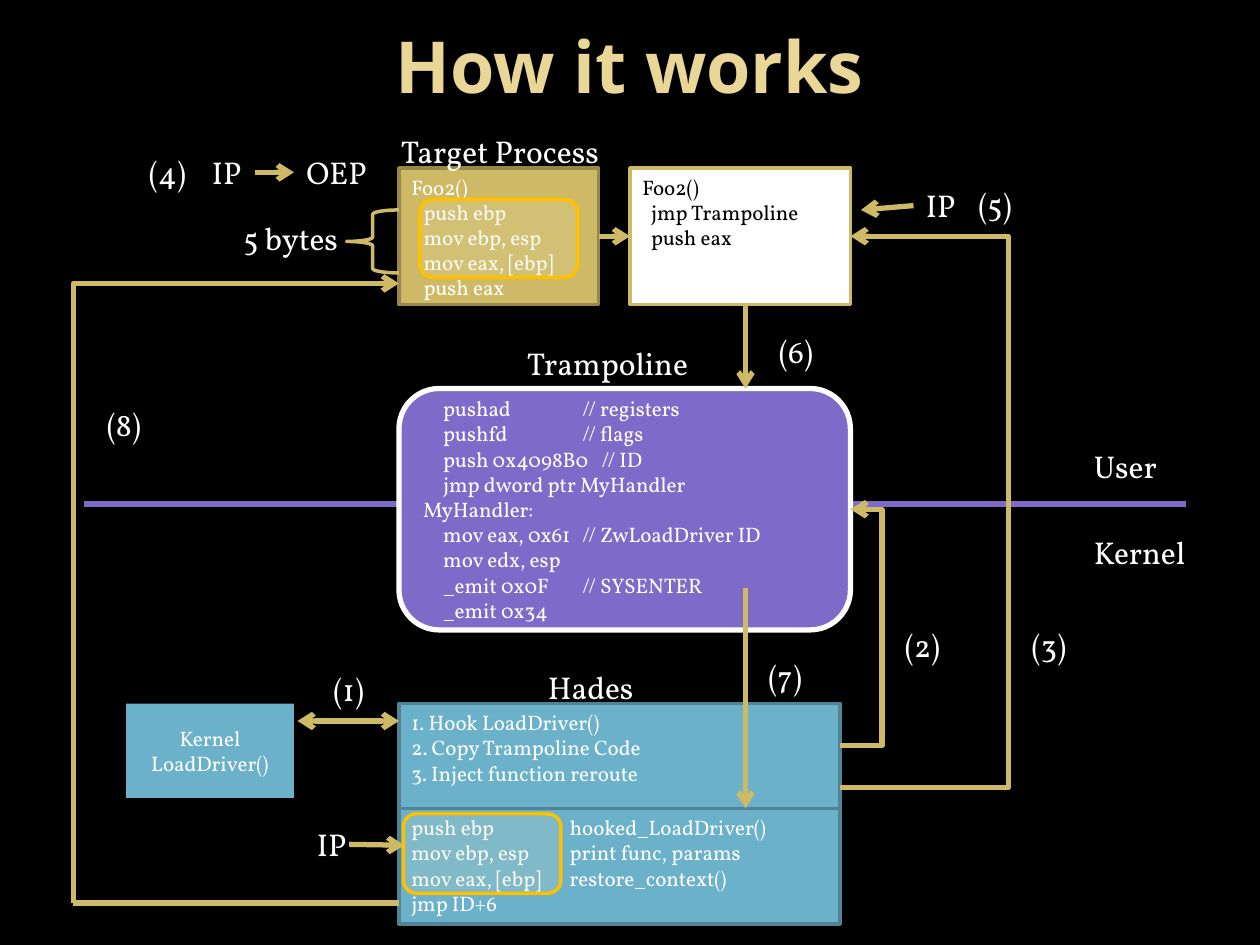
"""Build the "How it works" slide: a hooking flow between user and kernel space."""
import dataclasses

import lxml.etree
import pptx
import pptx.dml.color
import pptx.enum.shapes
import pptx.enum.text
import pptx.oxml.ns
import pptx.util

Pt = pptx.util.Pt
qn = pptx.oxml.ns.qn
SHAPES = pptx.enum.shapes.MSO_SHAPE
LINES = pptx.enum.shapes.MSO_CONNECTOR
ANCHOR = pptx.enum.text.MSO_ANCHOR
ALIGN = pptx.enum.text.PP_ALIGN


@dataclasses.dataclass(frozen=True)
class Theme:
    """Colours, fonts and sizes of the slide."""
    black: str = "000000"
    white: str = "FFFFFF"
    title: str = "EAD696"
    gold: str = "CEB966"
    dark_gold: str = "98894B"
    purple: str = "7E6BC9"
    blue: str = "6BB1C9"
    dark_blue: str = "4F8395"
    amber: str = "FFC000"
    cream: str = "EBE3C2"
    title_font: str = "Open Sans"
    body_font: str = "Vollkorn"
    title_size: int = 41
    label_size: int = 18
    code_size: int = 12
    thin: int = 2
    thick: int = 3


THEME = Theme()

TRAMPOLINE = [
    "\tpushad\t// registers", "\tpushfd\t// flags", "\tpush 0x4098B0\t// ID",
    "\tjmp dword ptr MyHandler", "MyHandler:", "\tmov eax, 0x61\t// ZwLoadDriver ID",
    "\tmov edx, esp", "\t_emit 0x0F\t// SYSENTER", "\t_emit 0x34",
]
TARGET = ["Foo2()", "\tpush ebp", "\tmov ebp, esp", "\tmov eax, [ebp]", "\tpush eax"]
PATCHED = ["Foo2()", "\tjmp Trampoline", "\tpush eax"]
HADES = ["1. Hook LoadDriver()", "2. Copy Trampoline Code", "3. Inject function reroute"]
HANDLER = [
    "push ebp\thooked_LoadDriver()", "mov ebp, esp\tprint func, params",
    "mov eax, [ebp]\trestore_context()", "jmp ID+6",
]
KERNEL = ["Kernel", "LoadDriver()"]

TOP, MIDDLE = ANCHOR.TOP, ANCHOR.MIDDLE
LEFT, CENTER = ALIGN.LEFT, ALIGN.CENTER
RECT, ROUND = SHAPES.RECTANGLE, SHAPES.ROUNDED_RECTANGLE

BOXES = [
    (ROUND, (228, 222, 258, 138), THEME.purple, THEME.white, THEME.thick,
     TRAMPOLINE, THEME.white, MIDDLE, LEFT, (11.5, 91, 102)),
    (RECT, (228, 402, 252, 60), THEME.blue, THEME.dark_blue, THEME.thin,
     HADES, THEME.white, TOP, LEFT, ()),
    (RECT, (228, 96, 114, 78), THEME.gold, THEME.dark_gold, THEME.thin,
     TARGET, THEME.white, TOP, LEFT, (7,)),
    (RECT, (360, 96, 126, 78), THEME.white, THEME.gold, THEME.thin,
     PATCHED, THEME.black, TOP, LEFT, (5,)),
    (RECT, (228, 462, 252, 66), THEME.blue, THEME.dark_blue, THEME.thin,
     HANDLER, THEME.white, TOP, LEFT, (90.5,)),
    (RECT, (72, 402, 96, 54), THEME.blue, None, 0,
     KERNEL, THEME.white, MIDDLE, CENTER, ()),
]
HIGHLIGHTS = [(240, 114, 90, 44.5), (230.5, 465, 90, 45.5)]
BRACE = (198, 120, 30, 36)

LABELS = [
    ("Trampoline", 294, 193, 109), ("Hades", 306, 378, 66),
    ("Target Process", 222, 72, 132), ("User", 618, 252, 53),
    ("Kernel", 618, 301, 68), ("5 bytes", 132, 121.5, 71),
    ("IP", 174, 468, 32), ("IP", 114, 84, 32), ("OEP", 168, 84, 51),
    ("IP", 522, 103, 32),
    ("(1)", 183.5, 379.5, 36), ("(2)", 510, 354, 36), ("(3)", 582.5, 354, 36),
    ("(4)", 78, 84, 36), ("(5)", 552, 102, 36), ("(6)", 438, 186, 36),
    ("(7)", 432, 372, 36), ("(8)", 54, 228, 36),
]
LABEL_HEIGHT = 29

DIVIDER = (48, 288, 678, 288)
ARROWS = [
    ((228, 412, 170, 412), ("headEnd", "tailEnd")),
    ((426, 174, 426, 222), ("tailEnd",)),
    ((342, 135, 360, 135), ("tailEnd",)),
    ((228, 516, 42, 516), ()),
    ((426, 336, 426, 462), ("tailEnd",)),
    ((199.5, 482.5, 231, 483), ("tailEnd",)),
    ((145.5, 98.5, 168, 98.5), ("tailEnd",)),
    ((522, 117.5, 492, 120), ("tailEnd",)),
]
BENDS = [
    ((480, 426, 486, 291), "bentConnector4", (0, 400000)),
    ((480, 450, 486, 135), "bentConnector4", (0, 1600000)),
    ((42, 516, 228, 162), "bentConnector3", (100000,)),
]


def rgb(code):
    return pptx.dml.color.RGBColor.from_string(code)


def write(frame, lines, font, size, colour, align=LEFT, stops=(), bold=False):
    frame.text = "\n".join(lines)
    for para in frame.paragraphs:
        para.alignment = align
        if stops:
            tabs = lxml.etree.SubElement(para._p.get_or_add_pPr(), qn("a:tabLst"))
            for stop in stops:
                lxml.etree.SubElement(tabs, qn("a:tab"), pos=str(int(Pt(stop))), algn="l")
        for span in para.runs:
            span.font.name = font
            span.font.size = Pt(size)
            span.font.bold = bold
            span.font.color.rgb = rgb(colour)


def add_box(page, kind, area, fill, line, width):
    box = page.shapes.add_shape(kind, *map(Pt, area))
    box.shadow.inherit = False
    if fill:
        box.fill.solid()
        box.fill.fore_color.rgb = rgb(fill)
    else:
        box.fill.background()
    if line:
        box.line.color.rgb = rgb(line)
        box.line.width = Pt(width)
    else:
        box.line.fill.background()
    return box


def add_line(page, ends, colour, tips=(), kind=LINES.STRAIGHT):
    line = page.shapes.add_connector(kind, *map(Pt, ends))
    line.line.color.rgb = rgb(colour)
    line.line.width = Pt(THEME.thick)
    for tip in tips:
        lxml.etree.SubElement(line.line._get_or_add_ln(), qn("a:" + tip), type="arrow")
    lxml.etree.SubElement(line._element.spPr, qn("a:effectLst"))
    return line


def add_bend(page, ends, preset, guides):
    x1, y1, x2, y2 = ends
    line = add_line(page, ends, THEME.gold, ("tailEnd",), LINES.ELBOW)
    width, height = abs(y2 - y1), abs(x2 - x1)
    line.left, line.top = Pt((x1 + x2 - width) / 2), Pt((y1 + y2 - height) / 2)
    line.width, line.height = Pt(width), Pt(height)
    frame = line._element.spPr.find(qn("a:xfrm"))
    for name, value in (("rot", "5400000"), ("flipH", "1"), ("flipV", "1")):
        frame.set(name, value)
    geometry = line._element.spPr.find(qn("a:prstGeom"))
    geometry.set("prst", preset)
    values = geometry.find(qn("a:avLst"))
    for number, value in enumerate(guides, 1):
        lxml.etree.SubElement(values, qn("a:gd"), name=f"adj{number}", fmla=f"val {value}")


def add_text(page, text, area, font, size, colour):
    box = page.shapes.add_textbox(*map(Pt, area))
    write(box.text_frame, [text], font, size, colour)
    return box.text_frame


def main():
    deck = pptx.Presentation()
    deck.slide_width, deck.slide_height = Pt(720), Pt(540)
    page = deck.slides.add_slide(deck.slide_layouts[6])
    page.background.fill.solid()
    page.background.fill.fore_color.rgb = rgb(THEME.black)

    title = page.shapes.add_textbox(Pt(36), Pt(6), Pt(648), Pt(62.5)).text_frame
    title.word_wrap = True
    title.vertical_anchor = MIDDLE
    write(title, ["How it works"], THEME.title_font, THEME.title_size, THEME.title, CENTER, bold=True)

    add_line(page, DIVIDER, THEME.purple)
    for kind, area, fill, line, width, lines, colour, anchor, align, stops in BOXES:
        frame = add_box(page, kind, area, fill, line, width).text_frame
        frame.word_wrap = True
        frame.vertical_anchor = anchor
        write(frame, lines, THEME.body_font, THEME.code_size, colour, align, stops)
    for ends, preset, guides in BENDS:
        add_bend(page, ends, preset, guides)
    for ends, tips in ARROWS:
        add_line(page, ends, THEME.gold, tips)
    for area in HIGHLIGHTS:
        box = add_box(page, ROUND, area, THEME.cream, THEME.amber, THEME.thin)
        tint = box._element.spPr.find(qn("a:solidFill"))[0]
        lxml.etree.SubElement(tint, qn("a:alpha"), val="17000")
    add_box(page, SHAPES.LEFT_BRACE, BRACE, None, THEME.gold, THEME.thin)
    for text, left, top, width in LABELS:
        frame = add_text(page, text, (left, top, width, LABEL_HEIGHT),
                         THEME.body_font, THEME.label_size, THEME.white)
        frame.word_wrap = False
        frame.auto_size = pptx.enum.text.MSO_AUTO_SIZE.SHAPE_TO_FIT_TEXT
    deck.save("out.pptx")


if __name__ == "__main__":
    main()
